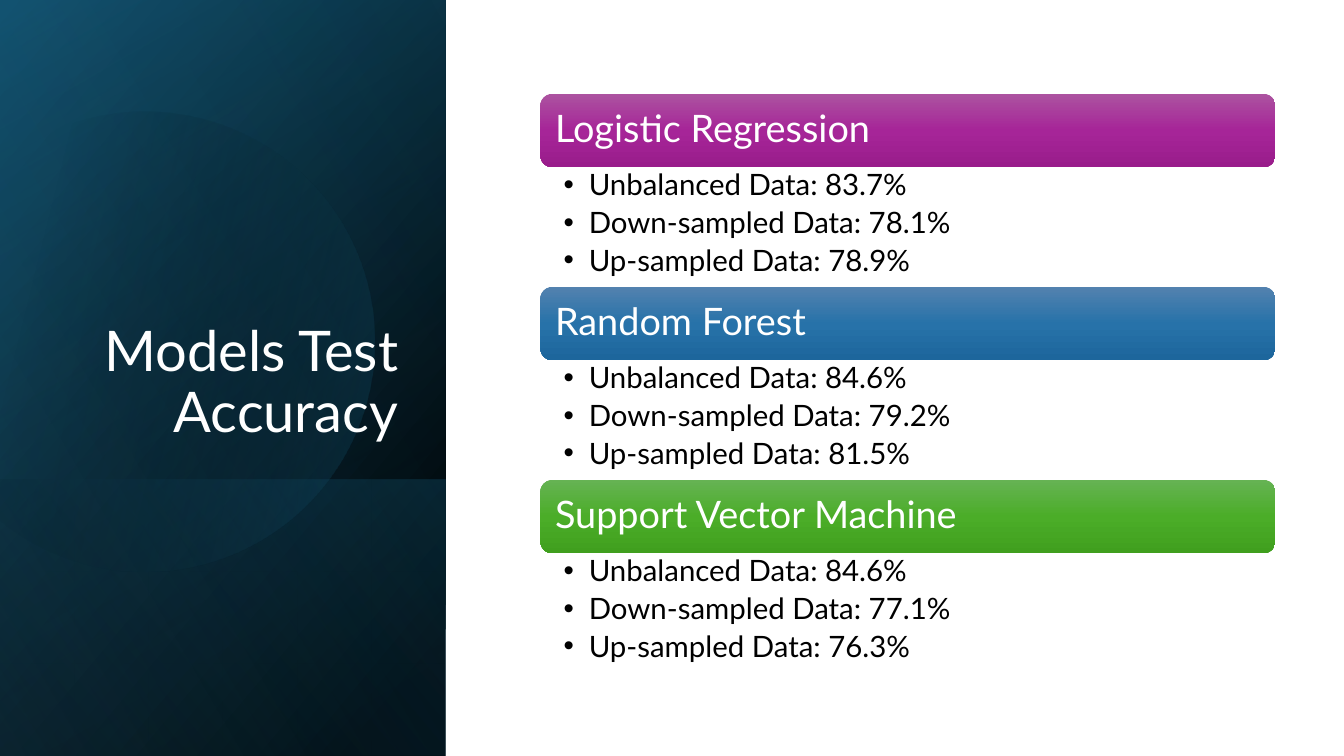
import math

from lxml import etree
from pptx import Presentation, util as u
from pptx.dml.color import RGBColor
from pptx.enum import shapes, text
from pptx.oxml import ns

# Slide grid, in inches
SLIDE_WIDTH, SLIDE_HEIGHT = 13.33, 7.5
PANEL_WIDTH = 4.42
CARD_LEFT, CARD_WIDTH = 5.36, 7.29
FIRST_CARD_TOP, LAST_CARD_TOP = 0.93, 4.76
BAR_HEIGHT, LIST_OFFSET, LIST_HEIGHT = 0.73, 0.72, 1.19

FONT = "Lato"
WHITE = RGBColor(0xFF, 0xFF, 0xFF)
BLACK = RGBColor(0x00, 0x00, 0x00)
DEEP_TEAL = RGBColor(0x10, 0x48, 0x62)
TEAL = RGBColor(0x15, 0x60, 0x82)
SKY = RGBColor(0x46, 0xB1, 0xE1)
PURPLES = RGBColor(0xAC, 0x53, 0xA0), RGBColor(0xA6, 0x25, 0x98), RGBColor(0x99, 0x1C, 0x8B)
BLUES = RGBColor(0x53, 0x82, 0xAF), RGBColor(0x27, 0x72, 0xA9), RGBColor(0x1D, 0x66, 0x9C)
GREENS = RGBColor(0x66, 0xB3, 0x54), RGBColor(0x4B, 0xAD, 0x28), RGBColor(0x40, 0x9F, 0x1E)

DATA_SETS = "Unbalanced", "Down-sampled", "Up-sampled"
MODELS = (
    ("Logistic Regression", PURPLES, (83.7, 78.1, 78.9)),
    ("Random Forest", BLUES, (84.6, 79.2, 81.5)),
    ("Support Vector Machine", GREENS, (84.6, 77.1, 76.3)),
)


def fill_gradient(shape, angle, *stops):
    """Fill with (position %, colour, opacity %) stops; no line or shadow."""
    shape.shadow.inherit = False
    shape.line.fill.background()
    shape.fill.gradient()
    shape.fill.gradient_angle = -angle % 360
    stop_list = shape.element.spPr.find(".//" + ns.qn("a:gsLst"))
    for stop in list(stop_list):
        stop_list.remove(stop)
    for position, colour, opacity in stops:
        stop = etree.SubElement(stop_list, ns.qn("a:gs"), pos=str(position * 1000))
        rgb = etree.SubElement(stop, ns.qn("a:srgbClr"), val=str(colour))
        if opacity < 100:
            etree.SubElement(rgb, ns.qn("a:alpha"), val=str(opacity * 1000))


def add_panel_layer(slide, top, height, angle, *stops):
    """Layer as wide as the panel: a mirrored rectangle turned a quarter."""
    shape = slide.shapes.add_shape(
        shapes.MSO_SHAPE.RECTANGLE,
        u.Inches((PANEL_WIDTH - height) / 2), u.Inches(top + (height - PANEL_WIDTH) / 2),
        u.Inches(height), u.Inches(PANEL_WIDTH))
    shape.rotation = 90
    shape.element.spPr.find(ns.qn("a:xfrm")).set("flipH", "1")
    fill_gradient(shape, angle, *stops)


def add_clipped_circle(slide, centre_x, centre_y, radius, turn):
    """Circle cut by a straight chord on its left side."""
    start, end = -118, 150
    points = [(u.Inches(centre_x + radius * math.cos(math.radians(degrees))),
               u.Inches(centre_y + radius * math.sin(math.radians(degrees))))
              for degrees in (start, -90, 0, 90, end)]
    builder = slide.shapes.build_freeform(*points[0])
    builder.add_line_segments(points[1:], close=True)
    circle = builder.convert_to_shape()
    # One arc takes the place of the straight segments
    outline = circle.element.spPr.find(".//" + ns.qn("a:path"))
    for segment in outline.findall(ns.qn("a:lnTo")):
        outline.remove(segment)
    arc = etree.Element(
        ns.qn("a:arcTo"), wR=str(u.Inches(radius)), hR=str(u.Inches(radius)),
        stAng=str(start % 360 * 60000), swAng=str((end - start) * 60000))
    outline.insert(1, arc)
    circle.rotation = turn
    fill_gradient(circle, 30, (29, BLACK, 0), (100, TEAL, 43))


def format_paragraph(paragraph, size, colour, align=text.PP_ALIGN.LEFT):
    paragraph.alignment = align
    paragraph.line_spacing = 0.9
    for run in paragraph.runs:
        run.font.name = FONT
        run.font.size = u.Pt(size)
        run.font.color.rgb = colour


def set_bullet(paragraph):
    properties = paragraph._p.get_or_add_pPr()
    properties.set("marL", str(u.Inches(0.25)))
    properties.set("indent", str(-u.Inches(0.25)))
    etree.SubElement(properties, ns.qn("a:buFont"), typeface="Arial")
    etree.SubElement(properties, ns.qn("a:buChar"), char="•")


def add_title(slide, words):
    title = slide.shapes.title
    title.left, title.top = u.Inches(0.64), u.Inches(1.84)
    title.width, title.height = u.Inches(3.41), u.Inches(2.62)
    frame = title.text_frame
    frame.text = words
    frame.word_wrap = True
    frame.auto_size = text.MSO_AUTO_SIZE.NONE
    frame.vertical_anchor = text.MSO_ANCHOR.BOTTOM
    format_paragraph(frame.paragraphs[0], 40, WHITE, text.PP_ALIGN.RIGHT)


def add_model_bar(slide, top, name, colours):
    bar = slide.shapes.add_shape(
        shapes.MSO_SHAPE.ROUNDED_RECTANGLE, u.Inches(CARD_LEFT), u.Inches(top),
        u.Inches(CARD_WIDTH), u.Inches(BAR_HEIGHT))
    fill_gradient(bar, 90, *((position, colour, 100)
                             for position, colour in zip((0, 50, 100), colours)))
    frame = bar.text_frame
    frame.text = name
    frame.margin_left = frame.margin_right = u.Inches(0.11)
    frame.vertical_anchor = text.MSO_ANCHOR.MIDDLE
    format_paragraph(frame.paragraphs[0], 27, WHITE)


def add_accuracy_list(slide, top, accuracies):
    box = slide.shapes.add_textbox(
        u.Inches(CARD_LEFT), u.Inches(top), u.Inches(CARD_WIDTH), u.Inches(LIST_HEIGHT))
    frame = box.text_frame
    frame.word_wrap = True
    frame.margin_left, frame.margin_right = u.Inches(0.23), u.Inches(0.21)
    frame.margin_top = frame.margin_bottom = u.Inches(0.04)
    frame.text = "\n".join(f"{data} Data: {accuracy}%"
                           for data, accuracy in zip(DATA_SETS, accuracies))
    for paragraph in frame.paragraphs:
        set_bullet(paragraph)
        format_paragraph(paragraph, 21, BLACK)
        paragraph.space_after = u.Pt(4.2)


def main():
    presentation = Presentation()
    presentation.slide_width = u.Inches(SLIDE_WIDTH)
    presentation.slide_height = u.Inches(SLIDE_HEIGHT)
    slide = presentation.slides.add_slide(presentation.slide_layouts[5])

    # Dark panel
    add_panel_layer(slide, 0, SLIDE_HEIGHT, 50, (8, BLACK, 100), (100, DEEP_TEAL, 100))
    add_panel_layer(slide, 0, SLIDE_HEIGHT, 30, (0, BLACK, 0), (99, TEAL, 46))
    add_panel_layer(slide, 4.76, SLIDE_HEIGHT - 4.76, 130, (2, TEAL, 29), (100, BLACK, 30))
    add_clipped_circle(slide, 1.43, 3.35, 2.28, -16.1)
    add_panel_layer(slide, 0, SLIDE_HEIGHT, 120, (0, BLACK, 0), (99, SKY, 11))

    # Title, brought in front of the panel
    add_title(slide, "Models Test Accuracy")
    slide.shapes.element.append(slide.shapes.title.element)

    # One bar and one list per model, evenly spaced
    step = (LAST_CARD_TOP - FIRST_CARD_TOP) / (len(MODELS) - 1)
    for row, (name, colours, accuracies) in enumerate(MODELS):
        top = FIRST_CARD_TOP + row * step
        add_model_bar(slide, top, name, colours)
        add_accuracy_list(slide, top + LIST_OFFSET, accuracies)

    presentation.save("out.pptx")


if __name__ == "__main__":
    main()
